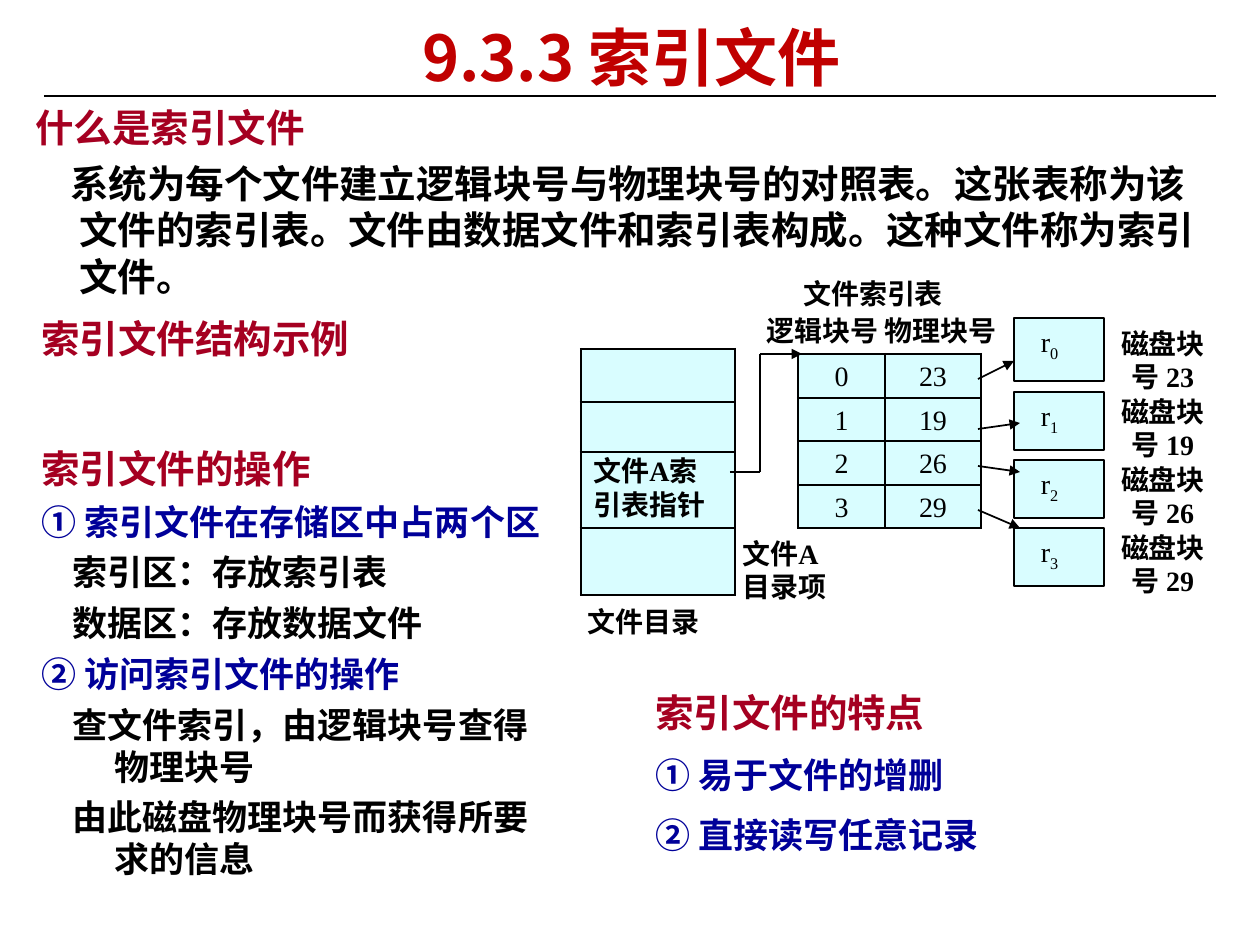
from lxml.etree import SubElement as Sub
from pptx import Presentation
from pptx.dml.color import RGBColor
from pptx.enum.shapes import MSO_CONNECTOR as Con, MSO_SHAPE as Shp
from pptx.enum.text import MSO_ANCHOR as Anc, PP_ALIGN as Al
from pptx.oxml.ns import qn
from pptx.util import Emu, Pt

PX = 914400 / 126
CJK, TIMES, ARIAL = "Noto Sans CJK SC", "Times New Roman", "Arial"
RED, WINE, BLUE, BLACK, CYAN = "C00000", "A50021", "000099", "000000", "D9FDFF"

# text, size, colour, space before, left margin, first-line indent
TITLE = [("9.3.3 索引文件", 36, RED, 0, 0, 0)]
INTRO = [
    ("什么是索引文件", 22, WINE, 0, 0, 0),
    ("系统为每个文件建立逻辑块号与物理块号的对照表。这张表称为该文件的索引表。"
     "文件由数据文件和索引表构成。这种文件称为索引文件。", 22, BLACK, 5.6, 44, -9),
]
SAMPLE = [("索引文件结构示例", 22, WINE, 0, 0, 0)]
USAGE = [
    ("索引文件的操作", 22, WINE, 0, 0, 0),
    ("① 索引文件在存储区中占两个区", 20, BLUE, 5, 0, 0),
    ("索引区：存放索引表", 20, BLACK, 5, 73, -42),
    ("数据区：存放数据文件", 20, BLACK, 5, 73, -42),
    ("② 访问索引文件的操作", 20, BLUE, 5, 0, 0),
    ("查文件索引，由逻辑块号查得物理块号", 20, BLACK, 5, 73, -42),
    ("由此磁盘物理块号而获得所要求的信息", 20, BLACK, 5, 73, -42),
]
TRAITS = [
    ("索引文件的特点", 22, WINE, 0, 0, 0),
    ("① 易于文件的增删", 20, BLUE, 3.3, 0, 0),
    ("② 直接读写任意记录", 20, BLUE, 3.3, 0, 0),
]
BLOCKS = [
    (TITLE, (53, 12, 1157, 88), 1.2, Al.CENTER),
    (INTRO, (23, 98, 1204, 208), 1.2, Al.LEFT),
    (SAMPLE, (29, 309, 520, 59), 1.2, Al.LEFT),
    (USAGE, (29, 439, 546, 447), 1.2, Al.LEFT),
    (TRAITS, (643, 669, 546, 194), 1.56, Al.LEFT),
]
LABELS = [
    (["文件A", "目录项"], (730, 530, 131, 87), TIMES),
    (["文件目录"], (575, 598, 161, 54), CJK),
    (["文件索引表"], (791, 270, 202, 54), CJK),
    (["逻辑块号"], (754, 307, 145, 54), ARIAL),
    (["物理块号"], (872, 307, 145, 54), ARIAL),
]
INDEX = [("0", "23"), ("1", "19"), ("2", "26"), ("3", "29")]
FOLDER = [("",), ("",), ("文件A索引表指针",), ("",)]
BOXES = [(318, 63), (392, 58), (460, 58), (528, 58)]
LINES = [
    (44, 96, 1216, 96, 0.75, False),
    (730, 472, 760, 472, 1, False),
    (760, 472, 760, 354, 1, False),
    (760, 354, 802, 354, 1, True),
    (978, 379, 1014, 361, 1, True),
    (978, 429, 1020, 423, 1, True),
    (978, 466, 1020, 472, 1, True),
    (978, 510, 1020, 528, 1, True),
]

deck = Presentation()
deck.slide_width, deck.slide_height = Emu(9144000), Emu(6858000)
slide = deck.slides.add_slide(deck.slide_layouts[6])
shapes = slide.shapes


def px(*vals):
    """Turn pixels into EMU."""
    return [Emu(round(v * PX)) for v in vals]


def rgb(hue):
    """Turn a hex string into a colour."""
    return RGBColor.from_string(hue)


def put(para, words, size, hue=BLACK, face=CJK, bold=True):
    """Add one run to a paragraph."""
    run = para.add_run()
    run.text = words
    font = run.font
    font.size, font.bold, font.name = Pt(size), bold, face
    font.color.rgb = rgb(hue)
    Sub(run._r.get_or_add_rPr(), qn("a:ea")).set("typeface", CJK)
    return run


def write(box, rows, lead=1.2, side=Al.LEFT, face=CJK):
    """Add a text box with one paragraph per row."""
    frame = shapes.add_textbox(*px(*box)).text_frame
    frame.word_wrap = True
    for i, (words, size, hue, gap, left, first) in enumerate(rows):
        para = frame.add_paragraph() if i else frame.paragraphs[0]
        para.alignment = side
        para.line_spacing, para.space_before = Pt(round(size * lead, 1)), Pt(gap)
        if left:
            prop = para._p.get_or_add_pPr()
            for key, val in zip(("marL", "indent"), px(left, first)):
                prop.set(key, str(val))
        put(para, words, size, hue, face)


def plain(words):
    """Describe a diagram label as a paragraph row."""
    return (words, 16, BLACK, 0, 0, 0)


def grid(x, y, wides, highs, rows, bold, side):
    """Add a bordered table."""
    table = shapes.add_table(len(highs), len(wides),
                             *px(x, y, sum(wides), sum(highs))).table
    table.first_row = table.horz_banding = False
    for col, wide in zip(table.columns, px(*wides)):
        col.width = wide
    for row, high, texts in zip(table.rows, px(*highs), rows):
        row.height = high
        for cell, words in zip(row.cells, texts):
            cell.margin_top = cell.margin_bottom = 0
            cell.vertical_anchor = Anc.MIDDLE
            for edge in "LRTB":
                line = Sub(cell._tc.get_or_add_tcPr(), qn("a:ln" + edge), w="19050")
                Sub(Sub(line, qn("a:solidFill")), qn("a:srgbClr"), val=BLACK)
            cell.fill.solid()
            cell.fill.fore_color.rgb = rgb(CYAN)
            para = cell.text_frame.paragraphs[0]
            para.alignment = side
            if words:
                para.line_spacing = Pt(19.2)
                put(para, words, 16, BLACK, TIMES, bold)


def block(i, y, high):
    """Add the box of one disk record."""
    box = shapes.add_shape(Shp.RECTANGLE, *px(1014, y, 90, high))
    box.shadow.inherit = False
    box.fill.solid()
    box.fill.fore_color.rgb = rgb(CYAN)
    box.line.color.rgb, box.line.width = rgb(BLACK), Pt(1.5)
    frame = box.text_frame
    frame.vertical_anchor, frame.margin_left = Anc.TOP, px(27)[0]
    para = frame.paragraphs[0]
    para.alignment = Al.LEFT
    put(para, "r", 16, BLACK, TIMES, False)
    sub = put(para, str(i), 16, BLACK, TIMES, False)
    sub._r.get_or_add_rPr().set("baseline", "-25000")


def draw(x1, y1, x2, y2, wide, tip):
    """Add a line, with an arrowhead if wanted."""
    con = shapes.add_connector(Con.STRAIGHT, *px(x1, y1, x2, y2))
    con.line.color.rgb, con.line.width = rgb(BLACK), Pt(wide)
    if tip:
        Sub(con.line._get_or_add_ln(), qn("a:tailEnd"), type="triangle")
    Sub(con._element.spPr, qn("a:effectLst"))


for rows, box, lead, side in BLOCKS:
    write(box, rows, lead, side)
grid(581, 349, [154], [53, 50, 76, 67], FOLDER, True, Al.LEFT)
grid(798, 354, [87, 96], [44, 43, 44, 43], INDEX, False, Al.CENTER)
for i, (y, high) in enumerate(BOXES):
    block(i, y, high)
    write((1107, 320 + 68 * i, 112, 73), [plain("磁盘块号 " + INDEX[i][1])],
          side=Al.CENTER, face=TIMES)
for words, box, face in LABELS:
    write(box, [plain(w) for w in words], face=face)
for line in LINES:
    draw(*line)
deck.save("out.pptx")
